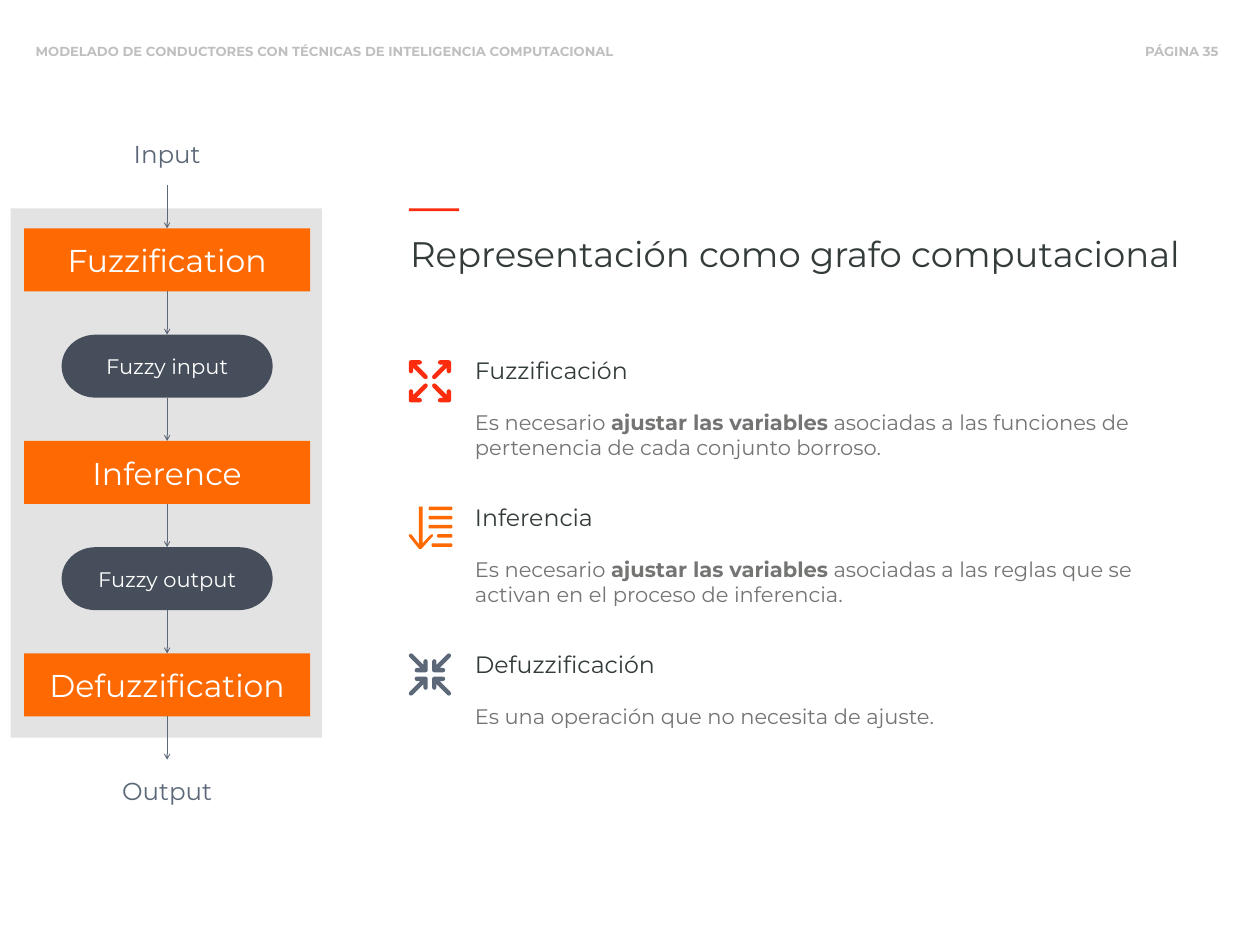
from lxml import etree
from pptx import Presentation
from pptx.dml.color import RGBColor
from pptx.enum import shapes, text
from pptx.oxml import ns
from pptx.util import Pt

COLORS = {
    "white": "FFFFFF", "header": "BFBFBF", "title": "333B3B", "body": "737572",
    "red": "FC2D0E", "orange": "FF6902", "slate": "5C6878", "dark": "454E5A",
    "panel": "E3E3E3",
}

prs = Presentation()
prs.slide_width, prs.slide_height = Pt(1440), Pt(1080)
slide = prs.slides.add_slide(prs.slide_layouts[6])


def add_run(paragraph, words, size, color, bold=False):
    run = paragraph.add_run()
    run.text = words
    run.font.name = "Montserrat"
    run.font.size = Pt(size)
    run.font.bold = bold
    run.font.color.rgb = RGBColor.from_string(COLORS[color])


def paint(shape, color):
    shape.shadow.inherit = False
    shape.fill.solid()
    shape.fill.fore_color.rgb = RGBColor.from_string(COLORS[color])
    shape.line.fill.background()


# Page header
for left, width, words in [
    (30, 691, "MODELADO DE CONDUCTORES CON TÉCNICAS DE INTELIGENCIA COMPUTACIONAL"),
    (1298, 119, "PÁGINA 35"),
]:
    header = slide.shapes.add_textbox(Pt(left), Pt(44), Pt(width), Pt(29)).text_frame
    header.word_wrap = True
    header.margin_left = header.margin_right = Pt(10.8)
    header.margin_top = header.margin_bottom = Pt(5.8)
    add_run(header.paragraphs[0], words, 15, "header", True)

# Title with its accent bar
title = slide.shapes.add_textbox(Pt(461.5), Pt(261.4), Pt(906.5), Pt(56)).text_frame
title.word_wrap = True
add_run(title.paragraphs[0], "Representación como grafo computacional", 40.5, "title")
accent = slide.shapes.add_shape(
    shapes.MSO_SHAPE.RECTANGLE, Pt(467.3), Pt(238.3), Pt(57.6), Pt(2.9))
paint(accent, "red")

# Flow panel and its steps, evenly spaced from top to bottom
panel = slide.shapes.add_shape(
    shapes.MSO_SHAPE.RECTANGLE, Pt(12.2), Pt(238.3), Pt(355.7), Pt(604.8))
paint(panel, "panel")

CENTER, FLOW_TOP, STEP_HEIGHT, PITCH = 191, 139.6, 72, 121.44
RECTANGLE = shapes.MSO_SHAPE.RECTANGLE
TERMINATOR = shapes.MSO_SHAPE.FLOWCHART_TERMINATOR
STYLES = {  # outline, width, fill, text size, text colour
    "end": (None, 241.2, None, 28, "slate"),
    "process": (RECTANGLE, 326.9, "orange", 36, "white"),
    "data": (TERMINATOR, 241.2, "dark", 24, "white"),
}
STEPS = [
    ("Input", "end"), ("Fuzzification", "process"), ("Fuzzy input", "data"),
    ("Inference", "process"), ("Fuzzy output", "data"),
    ("Defuzzification", "process"), ("Output", "end"),
]
for index, (name, style) in enumerate(STEPS):
    outline, width, fill, size, color = STYLES[style]
    top = FLOW_TOP + index * PITCH
    place = Pt(CENTER - width / 2), Pt(top), Pt(width), Pt(STEP_HEIGHT)
    if outline is None:
        step = slide.shapes.add_textbox(*place)
    else:
        step = slide.shapes.add_shape(outline, *place)
        paint(step, fill)
    step.text_frame.word_wrap = True
    step.text_frame.vertical_anchor = text.MSO_ANCHOR.MIDDLE
    label = step.text_frame.paragraphs[0]
    label.alignment = text.PP_ALIGN.CENTER
    add_run(label, name, size, color)

# Arrows between neighbouring steps
for index in range(len(STEPS) - 1):
    top = FLOW_TOP + index * PITCH
    arrow = slide.shapes.add_connector(
        shapes.MSO_CONNECTOR.STRAIGHT,
        Pt(CENTER), Pt(top + STEP_HEIGHT), Pt(CENTER), Pt(top + PITCH))
    arrow.line.width = Pt(1)
    arrow.line.color.rgb = RGBColor.from_string(COLORS["slate"])
    etree.SubElement(arrow.line._get_or_add_ln(), ns.qn("a:tailEnd"), type="arrow")
    etree.SubElement(arrow._element.spPr, ns.qn("a:effectLst"))

# Icon outlines, in points from the icon's top left corner
ICON_SIZE, ARROW_REACH = 48.2, 21.6
half_arrow = [(0.7, 0.7), (2.4, 0), (12.5, 0), (14.2, 0.7), (15, 2.4), (14.2, 4.2),
              (12.5, 5), (8.6, 5), (20.9, 17.3), (21.6, 19.1), (21, 21)]
outward = half_arrow + [(y, x) for x, y in half_arrow[-2:0:-1]]
inward = [(ARROW_REACH - x, ARROW_REACH - y) for x, y in outward]
expand, compress = [
    [[(ICON_SIZE - x if flip_x else x, ICON_SIZE - y if flip_y else y)
      for x, y in corner_arrow]
     for flip_x in (False, True) for flip_y in (False, True)]
    for corner_arrow in (outward, inward)
]
ordered_list = [[(11.5, 0), (15.8, 0), (15.8, 41.8), (25.2, 31.7), (27.4, 31.7),
                 (27.4, 33.8), (14.4, 48.2), (11.5, 48.2), (0, 33.8), (0, 31.7),
                 (2.9, 31.7), (11.5, 43.2)]]
for row, left in enumerate([22.5, 22.5, 22.5, 32.4, 25.9]):
    top, right = row * 10.5, 49.7
    ordered_list.append([
        (left, top + 1), (left + 1, top), (right - 1, top), (right, top + 1),
        (right, top + 3), (right - 1, top + 4), (left + 1, top + 4), (left, top + 3)])

# Explanations, each with its icon
TOPICS = [
    ("Fuzzificación", expand, "red", 8.5, 127.4, [
        ("Es necesario ", False), ("ajustar las variables", True),
        (" asociadas a las funciones de pertenencia de cada conjunto borroso.", False)]),
    ("Inferencia", ordered_list, "orange", 8, 127.4, [
        ("Es necesario ", False), ("ajustar las variables", True),
        (" asociadas a las reglas que se activan en el proceso de inferencia.", False)]),
    ("Defuzzificación", compress, "slate", 8, 97.9, [
        ("Es una operación que no necesita de ajuste.", False)]),
]
UNITS = 100  # outline units per point
for index, (heading, outlines, color, icon_drop, height, sentence) in enumerate(TOPICS):
    top = 403.2 + index * 167.8
    topic = slide.shapes.add_textbox(Pt(535.7), Pt(top), Pt(832.3), Pt(height)).text_frame
    topic.word_wrap = True
    add_run(topic.paragraphs[0], heading, 27, "title")
    explanation = topic.add_paragraph()
    explanation.space_before = Pt(29)
    for words, bold in sentence:
        add_run(explanation, words, 24, "body", bold)

    scaled = [[(x * UNITS, y * UNITS) for x, y in outline] for outline in outlines]
    pen = slide.shapes.build_freeform(*scaled[0][0], scale=Pt(1) / UNITS)
    for outline in scaled:
        pen.move_to(*outline[0])
        pen.add_line_segments(outline[1:], close=True)
    paint(pen.convert_to_shape(Pt(467.3), Pt(top + icon_drop)), color)

prs.save("out.pptx")
